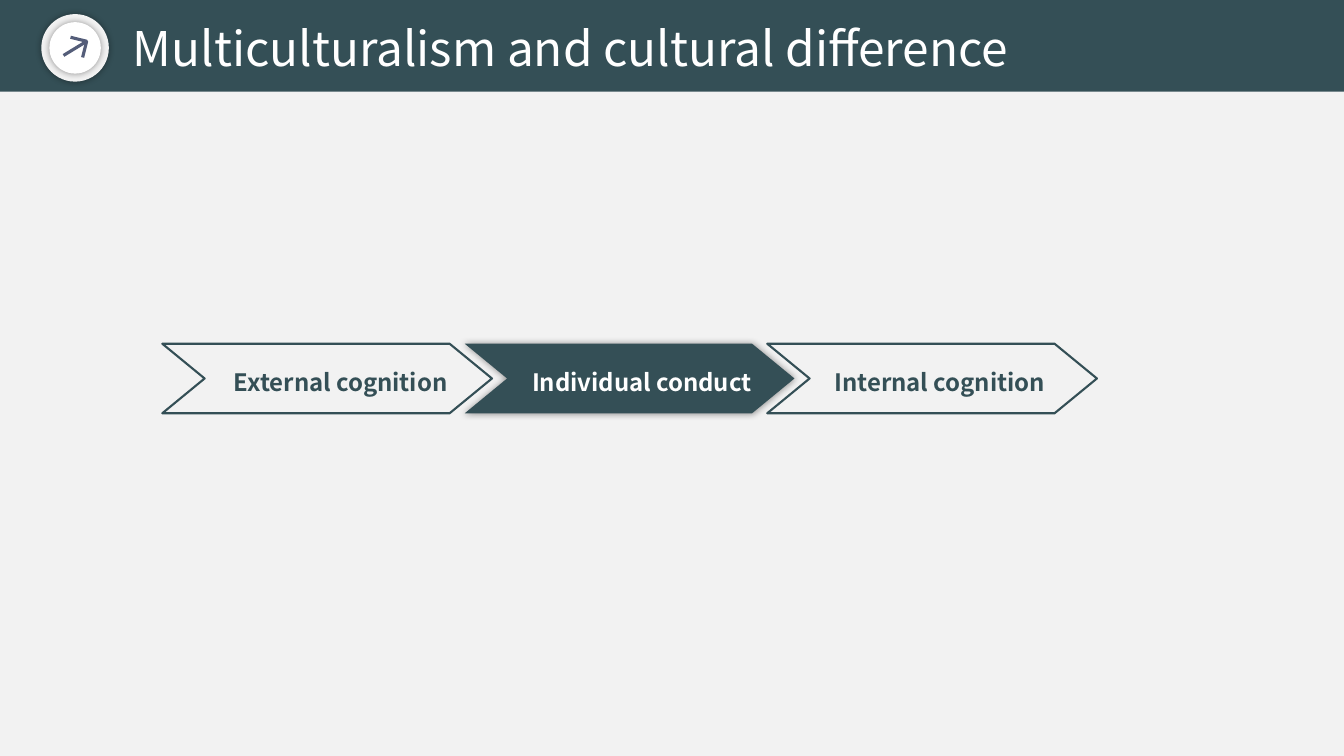
import pptx
import pptx.util
import pptx.dml.color
import pptx.enum.shapes
import pptx.enum.text
import pptx.oxml
import pptx.oxml.ns
from pptx.util import Inches

RGBColor = pptx.dml.color.RGBColor
MSO_SHAPE = pptx.enum.shapes.MSO_SHAPE
PP_ALIGN = pptx.enum.text.PP_ALIGN
TEAL = RGBColor(0x34, 0x4F, 0x56)
PALE = RGBColor(0xF2, 0xF2, 0xF2)
WHITE = RGBColor(0xFF, 0xFF, 0xFF)
ARROW = RGBColor(0x54, 0x5D, 0x79)
FONT = "Noto Sans CJK JP"


def add_glow(shape):
    """Put an even, soft black shadow around the shape."""
    effects = shape._element.spPr.find(pptx.oxml.ns.qn("a:effectLst"))
    effects.append(pptx.oxml.parse_xml(
        f'<a:outerShdw {pptx.oxml.ns.nsdecls("a")} blurRad="{pptx.util.Pt(5)}" dist="0" '
        'dir="0" algn="ctr" rotWithShape="0"><a:srgbClr val="000000">'
        '<a:alpha val="40000"/></a:srgbClr></a:outerShdw>'))


def add_shape(slide, kind, left, top, width, height, fill=None, outline=None, glow=False):
    shape = slide.shapes.add_shape(
        kind, Inches(left), Inches(top), Inches(width), Inches(height))
    shape.shadow.inherit = False
    if fill is None:
        shape.fill.background()
    else:
        shape.fill.solid()
        shape.fill.fore_color.rgb = fill
    if outline is None:
        shape.line.fill.background()
    else:
        shape.line.color.rgb = outline
        shape.line.width = pptx.util.Pt(1.5)
    if glow:
        add_glow(shape)
    return shape


def add_text(slide, text, left, top, width, height, size, color, bold=False,
             align=PP_ALIGN.LEFT, spacing=1.0):
    box = slide.shapes.add_textbox(
        Inches(left), Inches(top), Inches(width), Inches(height))
    frame = box.text_frame
    frame.word_wrap = True
    frame.auto_size = pptx.enum.text.MSO_AUTO_SIZE.SHAPE_TO_FIT_TEXT
    paragraph = frame.paragraphs[0]
    paragraph.text = text
    paragraph.alignment = align
    paragraph.line_spacing = spacing
    paragraph.font.name = FONT
    paragraph.font.size = pptx.util.Pt(size)
    paragraph.font.bold = bold
    paragraph.font.color.rgb = color


def add_badge(slide, left, top, size):
    # Two concentric discs
    for inset, fill in ((0, PALE), (0.08, WHITE)):
        add_shape(slide, MSO_SHAPE.OVAL, left + inset, top + inset,
                  size - 2 * inset, size - 2 * inset, fill, glow=True)

    # Arrow tip and shaft
    tip_x, tip_y = left + 0.45, top + 0.27
    builder = slide.shapes.build_freeform(
        Inches(tip_x - 0.16), Inches(tip_y - 0.04), scale=1.0)
    builder.add_line_segments(
        [(Inches(tip_x), Inches(tip_y)), (Inches(tip_x - 0.04), Inches(tip_y + 0.16))],
        close=False)
    tip = builder.convert_to_shape()
    tip.fill.background()
    tip.shadow.inherit = False
    shaft = slide.shapes.add_connector(
        pptx.enum.shapes.MSO_CONNECTOR.STRAIGHT, Inches(tip_x - 0.23),
        Inches(tip_y + 0.14), Inches(tip_x), Inches(tip_y))
    shaft._element.spPr.append(pptx.oxml.parse_xml(
        f'<a:effectLst {pptx.oxml.ns.nsdecls("a")}/>'))
    for part in (tip, shaft):
        part.line.color.rgb = ARROW
        part.line.width = pptx.util.Pt(2.25)


def add_header(slide, left, top, width):
    add_badge(slide, left, top, 0.67)
    add_text(slide, "Multiculturalism and cultural difference",
             left + 0.81, top, width - 0.81, 0.68, 34.1, WHITE)


def add_process(slide, left, top, pitch):
    # Label, label width, whether the step is highlighted
    steps = (("External cognition", 2.54, False),
             ("Individual conduct", 2.51, True),
             ("Internal cognition", 2.42, False))
    width, height, point = 3.27, 0.69, 0.42
    for index, (label, label_width, active) in enumerate(steps):
        step_left = left + index * pitch
        chevron = add_shape(slide, MSO_SHAPE.CHEVRON, step_left, top, width, height,
                            fill=TEAL if active else None,
                            outline=None if active else TEAL, glow=active)
        chevron.adjustments[0] = point / height
    for index, (label, label_width, active) in enumerate(steps):
        add_text(slide, label, left + index * pitch + 0.5, top + 0.13, label_width, 0.42,
                 17.1, WHITE if active else TEAL, True, PP_ALIGN.CENTER, 1.2)


def main():
    deck = pptx.Presentation()
    deck.slide_width, deck.slide_height = Inches(13.33), Inches(7.5)
    slide = deck.slides.add_slide(deck.slide_layouts[6])

    # Teal background with a pale content panel
    slide.background.fill.solid()
    slide.background.fill.fore_color.rgb = TEAL
    add_shape(slide, MSO_SHAPE.RECTANGLE, 0, 0.91, 13.33, 6.59, PALE)

    add_header(slide, 0.41, 0.14, 10.88)
    add_process(slide, 1.61, 3.41, 3.0)
    deck.save("out.pptx")


if __name__ == "__main__":
    main()
